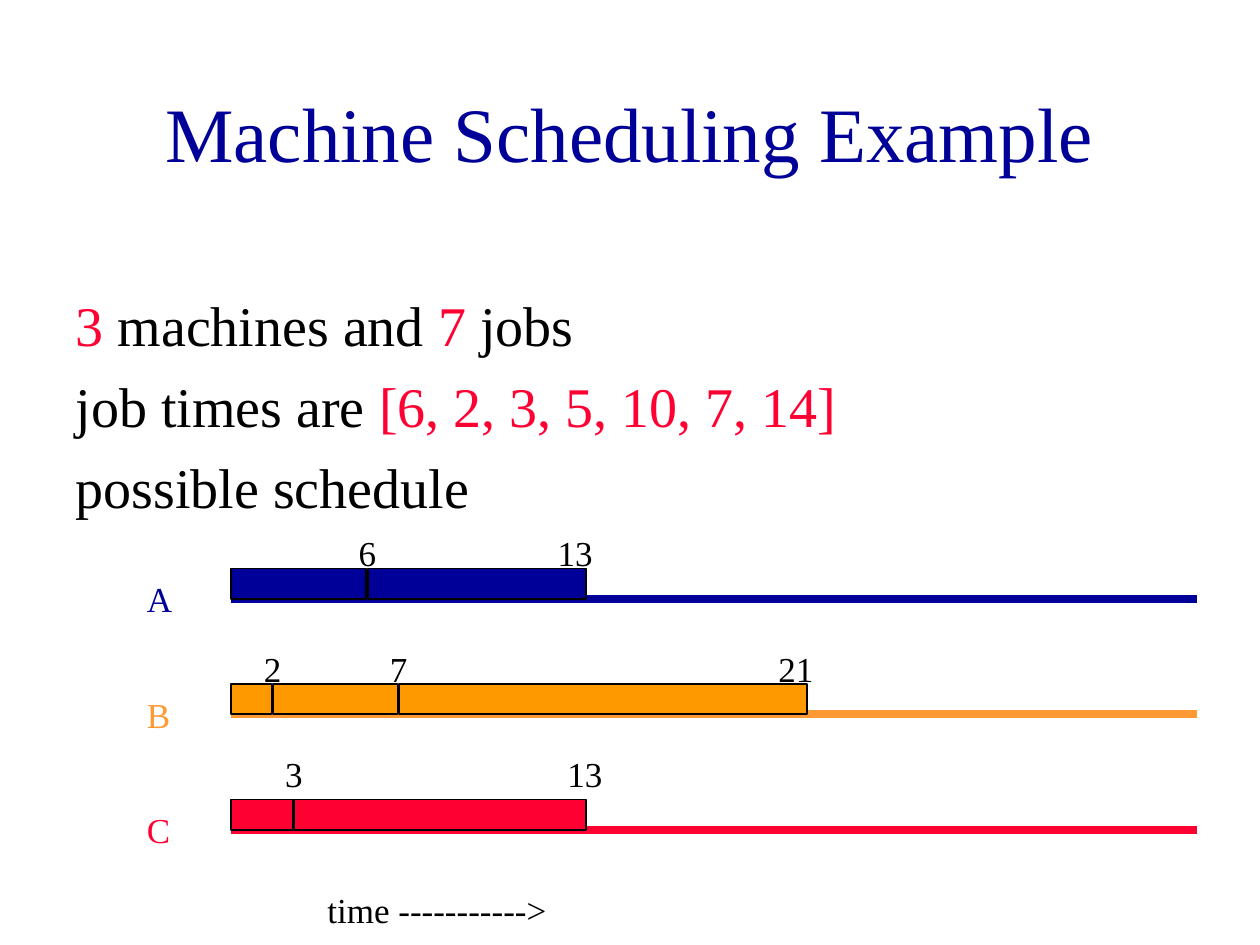
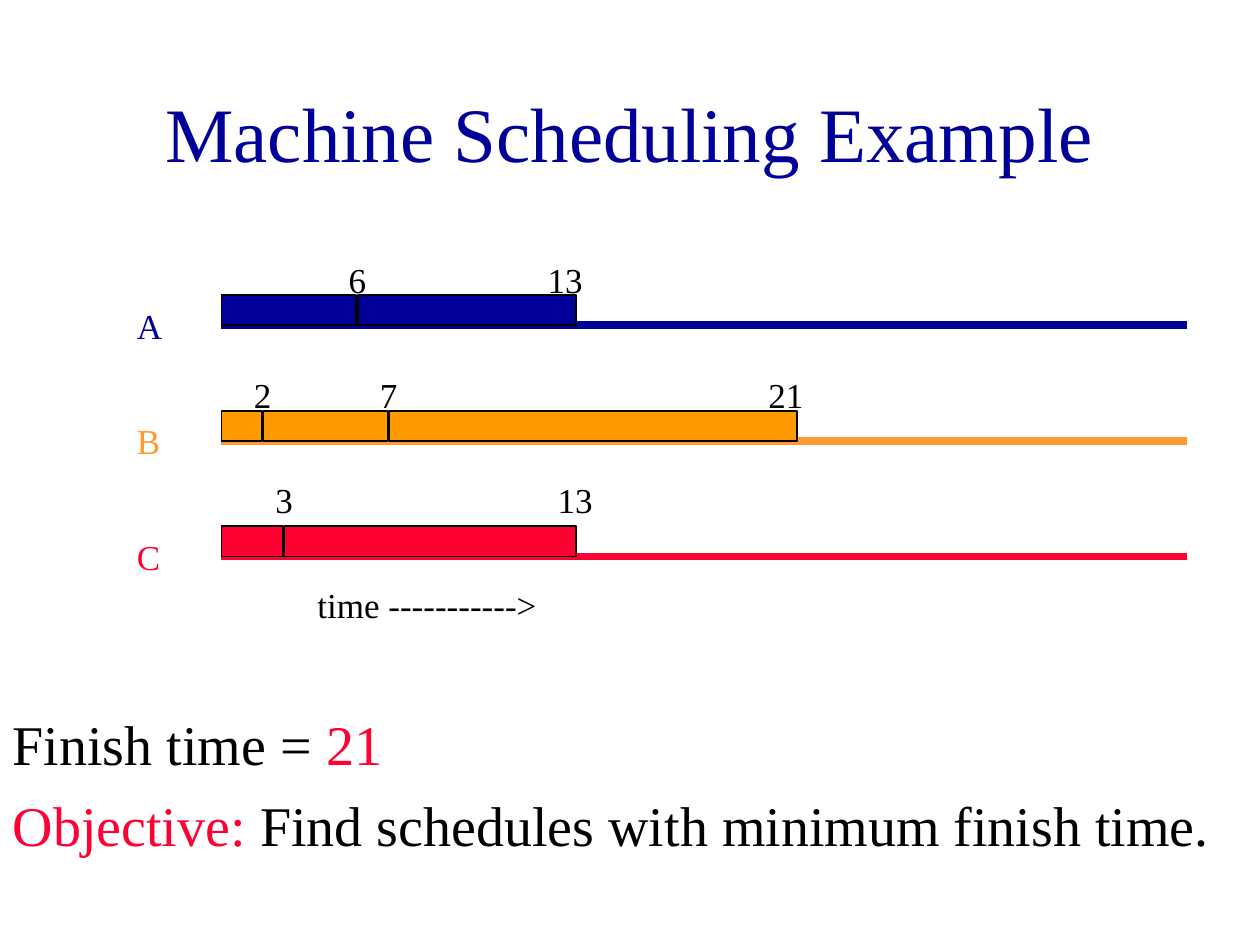
from dataclasses import dataclass

from lxml import etree
from pptx import Presentation
from pptx.dml.color import RGBColor
from pptx.enum.shapes import MSO_CONNECTOR, MSO_SHAPE
from pptx.enum.text import MSO_ANCHOR, MSO_AUTO_SIZE, PP_ALIGN
from pptx.oxml.ns import qn
from pptx.util import Cm, Pt

STRAIGHT = MSO_CONNECTOR.STRAIGHT
RECTANGLE = MSO_SHAPE.RECTANGLE
MIDDLE, TOP = MSO_ANCHOR.MIDDLE, MSO_ANCHOR.TOP
NO_AUTOFIT = MSO_AUTO_SIZE.NONE
CENTER, LEFT = PP_ALIGN.CENTER, PP_ALIGN.LEFT

FONT = "Times New Roman"
TITLE = "Machine Scheduling Example"
TITLE_AND_CONTENT = 1
COLORS = {
    "navy": "000099",
    "orange": "FF9933",
    "bar orange": "FF9900",
    "red": "FF0033",
    "black": "000000",
}

# Lengths below are in centimetres.
ROW_PITCH = 2.33
AXIS_LENGTH = 19.47
BAR_HEIGHT = 0.61
BAR_GAP = 0.03
DIGIT_WIDTH = 0.42
LABEL_HEIGHT = 1.09


@dataclass
class Machine:
    name: str
    line_color: str
    bar_color: str
    jobs: list  # (finish time, distance of the bar's end from the axis start)
    label_rise: float = 1.48
    last_label_shift: float = 0


MACHINES = [
    Machine("A", "navy", "navy", [(6, 2.75), (13, 7.18)]),
    Machine("B", "orange", "bar orange", [(2, 0.84), (7, 3.38), (21, 11.63)]),
    Machine("C", "red", "red", [(3, 1.27), (13, 7.18)], 1.69, 0.2),
]


def rgb(color):
    return RGBColor.from_string(COLORS[color])


def set_font(font, size, color):
    font.name = FONT
    font.size = Pt(size)
    font.color.rgb = rgb(color)


def place(shape, left, top, width, height):
    shape.left, shape.top = Cm(left), Cm(top)
    shape.width, shape.height = Cm(width), Cm(height)


def add_title(slide):
    title = slide.shapes.title
    place(title, 1.9, 1.06, 21.59, 3.18)
    title.text_frame.text = TITLE
    title.text_frame.vertical_anchor = MIDDLE
    title.text_frame.auto_size = NO_AUTOFIT
    paragraph = title.text_frame.paragraphs[0]
    paragraph.alignment = CENTER
    set_font(paragraph.font, 44, "navy")


def remove_bullet(paragraph):
    """Drop the bullet and start the text at the left edge, with a hanging indent."""
    properties = paragraph._p.get_or_add_pPr()
    properties.set("marL", str(Cm(0.95)))
    properties.set("indent", str(-Cm(0.95)))
    bullet_none = etree.Element(qn("a:buNone"))
    spacing = properties.find(qn("a:spcBef"))
    spacing.addnext(bullet_none)


def fill_body(slide, box, lines):
    """Write lines of (text, color) runs into the body placeholder."""
    body = slide.placeholders[1]
    place(body, *box)
    frame = body.text_frame
    frame.vertical_anchor = TOP
    frame.auto_size = NO_AUTOFIT
    for index, runs in enumerate(lines):
        paragraph = frame.add_paragraph() if index else frame.paragraphs[0]
        paragraph.alignment = LEFT
        paragraph.space_before = Pt(8)
        remove_bullet(paragraph)
        paragraph.font.name = FONT
        paragraph.font.size = Pt(32)
        for text, color in runs:
            run = paragraph.add_run()
            run.text = text
            run.font.color.rgb = rgb(color)


def add_label(slide, text, left, top, width, color="black"):
    box = slide.shapes.add_textbox(Cm(left), Cm(top), Cm(width), Cm(LABEL_HEIGHT))
    box.text_frame.word_wrap = True
    box.text_frame.text = text
    set_font(box.text_frame.paragraphs[0].font, 20, color)


def add_axis(slide, left, top, color):
    axis = slide.shapes.add_connector(
        STRAIGHT, Cm(left), Cm(top), Cm(left + AXIS_LENGTH), Cm(top))
    axis.line.color.rgb = rgb(color)
    axis.line.width = Pt(4.5)
    etree.SubElement(axis._element.spPr, qn("a:effectLst"))


def add_bar(slide, left, top, width, color):
    bar = slide.shapes.add_shape(
        RECTANGLE, Cm(left), Cm(top), Cm(width), Cm(BAR_HEIGHT))
    bar.shadow.inherit = False
    bar.fill.solid()
    bar.fill.fore_color.rgb = rgb(color)
    bar.line.color.rgb = rgb("black")
    bar.line.width = Pt(1)


def add_machine(slide, machine, left, top):
    """Draw one machine's axis, its jobs and their finish times."""
    add_axis(slide, left, top, machine.line_color)
    add_label(slide, machine.name, left - 1.94, top - 0.55, 1.2, machine.line_color)
    start = 0
    for finish, end in machine.jobs:
        add_bar(slide, left + start + BAR_GAP / 2, top - BAR_HEIGHT,
                end - start - BAR_GAP, machine.bar_color)
        digits = len(str(finish))
        shift = machine.last_label_shift if finish == machine.jobs[-1][0] else 0
        add_label(slide, str(finish), left + end - DIGIT_WIDTH * digits + shift,
                  top - machine.label_rise, 0.5 + 0.6 * digits)
        start = end


def add_schedule(slide, left, top, time_top):
    for row, machine in enumerate(MACHINES):
        add_machine(slide, machine, left, top + row * ROW_PITCH)
    add_label(slide, "time ----------->", left + 1.7, time_top, 8.69)


def add_slide(presentation, body_box, lines):
    layout = presentation.slide_layouts[TITLE_AND_CONTENT]
    slide = presentation.slides.add_slide(layout)
    add_title(slide)
    fill_body(slide, body_box, lines)
    return slide


def main():
    presentation = Presentation()
    presentation.slide_width, presentation.slide_height = Cm(25.4), Cm(19.05)

    problem = add_slide(presentation, (1.27, 5.72, 20.53, 9.53), [
        [("3", "red"), (" machines and ", "black"), ("7 ", "red"), ("jobs", "black")],
        [("job times are ", "black"), ("[6, 2, 3, 5, 10, 7, 14]", "red")],
        [("possible schedule", "black")],
    ])
    add_schedule(problem, 4.65, 12.07, 17.78)

    objective = add_slide(presentation, (0, 14.18, 25.4, 2.96), [
        [("Finish time = ", "black"), ("21", "red")],
        [("Objective:", "red"), (" Find schedules with minimum finish time.", "black")],
    ])
    add_schedule(objective, 4.45, 6.56, 11.64)

    presentation.save("out.pptx")


if __name__ == "__main__":
    main()
